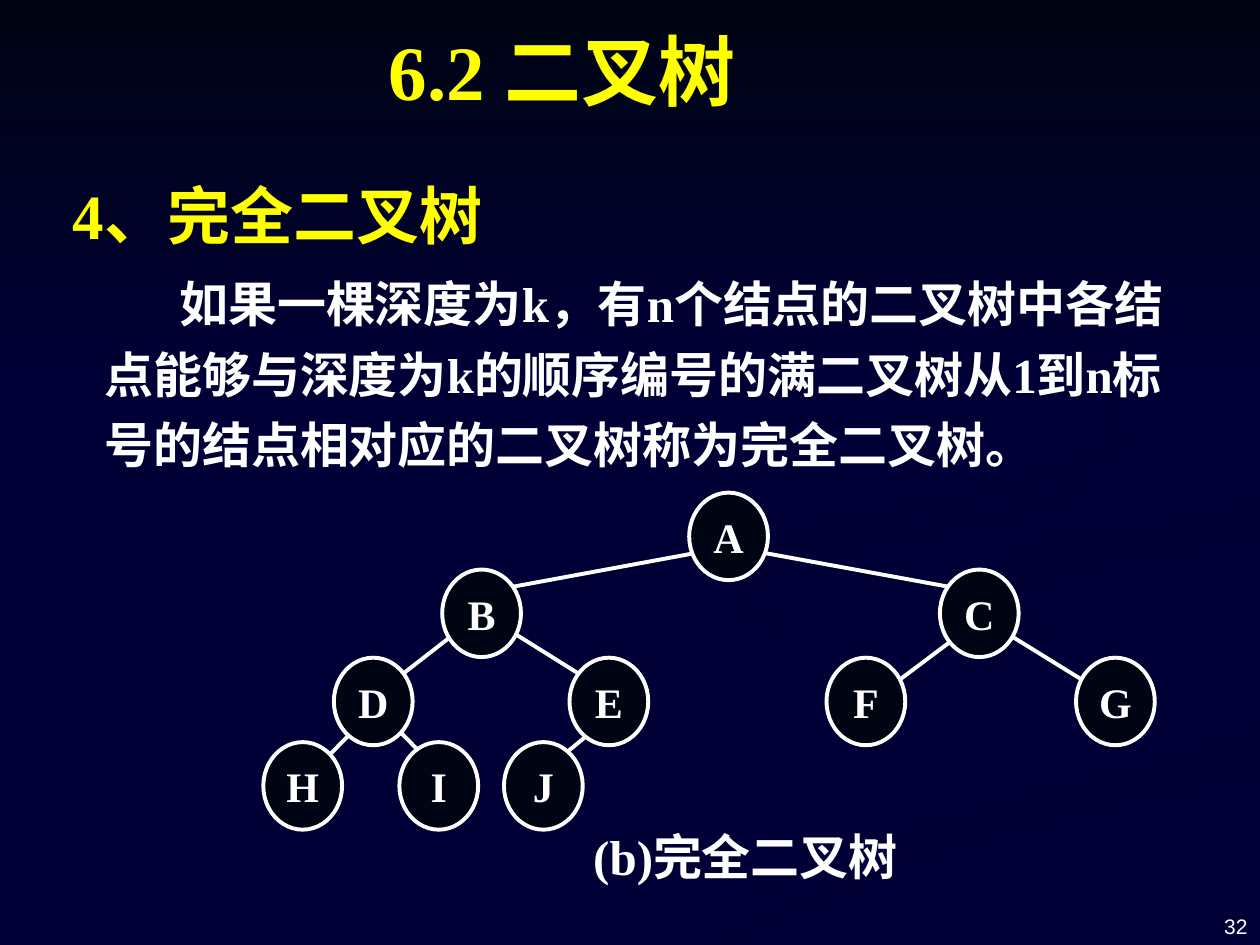
from lxml.etree import SubElement
from pptx import Presentation
from pptx.dml.color import RGBColor
from pptx.enum.shapes import MSO_CONNECTOR, MSO_SHAPE
from pptx.enum.text import MSO_ANCHOR, PP_ALIGN
from pptx.oxml.ns import qn
from pptx.util import Inches, Pt

# Grid of 100 columns by 75 rows
CELL = Inches(0.1)
COLS, ROWS = 100, 75

NAVY = RGBColor(0x00, 0x00, 0x36)
DIM = RGBColor(0x00, 0x00, 0x34)
DEEP = RGBColor(0x00, 0x00, 0x32)
DARK = RGBColor(0x00, 0x05, 0x14)
WHITE = RGBColor(0xFF, 0xFF, 0xFF)
GOLD = RGBColor(0xFF, 0xFF, 0x00)
SERIF, SANS, HAN = "Times New Roman", "Arial", "Noto Sans CJK SC"

NODE_W, NODE_H = 6.25, 6.95
LEVELS = [
    (39.1, {"A": 54.7}),
    (45.2, {"B": 35.1, "C": 74.6}),
    (52.2, {"D": 26.5, "E": 45.2, "F": 65.6, "G": 85.4}),
    (58.9, {"H": 20.9, "I": 31.7, "J": 40}),
]
EDGES = [
    (55.7, 43.8, 40, 46.7), (60.2, 43.8, 76, 46.7),
    (36.2, 50.2, 31.7, 53.7), (40.7, 50.2, 46.3, 53.7),
    (76.4, 50.2, 70.8, 54.4), (79.8, 50.2, 86.6, 54.4),
    (28.7, 57.3, 25.3, 60.8), (31, 57.3, 34.4, 60.8),
    (47.9, 57.3, 44.5, 60.1),
]
# Ribbons: outline points, first and last colour, angle
WAVES = [
    ([(78.1, 55.3), (73.1, 53.3), (66.1, 51.3), (60.2, 49), (57.5, 46.6),
      (57.5, 45.9), (57, 47.2), (59.3, 49.1), (65.4, 51.3), (74.1, 53.9),
      (78.1, 55.6), (78.5, 57), (76.7, 58.7), (71.4, 60.5), (61.6, 62.9),
      (49.9, 66.1), (37.6, 70.7), (30, 74.9), (36.1, 74.9), (46.6, 70),
      (59.4, 65.6), (69.9, 62.8), (76.9, 60.9), (79.7, 58.8), (80, 58.1),
      (79.2, 56.1)], NAVY, DIM, 0),
    ([(94.3, 57), (91.9, 54.7), (87, 53), (79.2, 50.9), (73.3, 48.3),
      (72.4, 46.4), (73.3, 48.8), (76.6, 51.2), (83.8, 53.6), (90, 55.7),
      (91.8, 58.1), (89.4, 60.5), (93.2, 58.9)], NAVY, DIM, 315),
    ([(50.3, 74.9), (57.1, 74.9), (63, 71.9), (72.2, 68.2), (82.1, 65.1),
      (99.8, 60.9), (99.8, 58.1), (92, 60.6), (79.7, 63.8), (69.6, 66.9),
      (59.9, 70.6)], DEEP, NAVY, 270),
    ([(72.5, 46.4), (74.5, 49), (81.2, 51.5), (90.5, 54), (94.3, 57),
      (92.6, 59.3), (88.1, 60.8), (78, 63.4), (66.3, 66.8), (57.3, 70.3),
      (47.7, 74.9), (51.9, 74.7), (59.9, 70.6), (69.6, 66.9), (79.7, 63.8),
      (92, 60.6), (99.9, 58.1), (99.9, 53.8), (90.4, 51.9), (83.2, 49.8),
      (78.6, 47.3), (78.2, 46), (81.1, 43.7), (86.5, 42.4), (96.8, 40.9),
      (99.9, 40.2), (99.9, 38.7), (94.2, 39.9), (83, 41.5), (75.5, 43.2)],
     NAVY, NAVY, 0),
    ([(78.1, 46), (79.1, 47.8), (82.6, 49.6), (80.6, 48), (80.9, 46.6),
      (84.3, 44.8), (89.6, 43.5), (99.8, 42), (99.8, 40.2), (93.3, 41.5),
      (86.5, 42.4), (81, 43.7)], RGBColor(0x00, 0x00, 0x33), NAVY, 315),
    ([(68.3, 43), (78.6, 41.2), (85.5, 39.1), (88.9, 36.2), (89.4, 34.4),
      (89, 32.4), (85.4, 28.3), (76.2, 23.3), (84.6, 27.9), (88.5, 32),
      (88.6, 34.8), (85.2, 37.4), (79.1, 39.2), (64.9, 42), (58.9, 44.1),
      (57.7, 46.2), (59, 48.4), (62.2, 50), (59.4, 47.5), (60.1, 45.6)],
     DEEP, NAVY, 315),
    ([(0, 0), (0, 30.8), (COLS, 30.8), (COLS, 0)], DARK, NAVY, 270),
]


def cells(*nums):
    return [round(n * CELL) for n in nums]


def blend(fill, start, end, angle):
    fill.gradient()
    fill.gradient_angle = angle
    for stop, color in zip(fill.gradient_stops, (start, end)):
        stop.color.rgb = color


def wave(slide, points, start, end, angle):
    pen = slide.shapes.build_freeform(*points[0], scale=CELL)
    pen.add_line_segments(points[1:], close=True)
    shape = pen.convert_to_shape()
    shape.shadow.inherit = False
    shape.line.fill.background()
    blend(shape.fill, start, end, angle)


def write(para, text, size=28, color=WHITE, font=SERIF, bold=True,
          align=PP_ALIGN.LEFT):
    para.alignment = align
    run = para.add_run()
    run.text = text
    run.font.size = Pt(size)
    run.font.bold = bold
    run.font.name = font
    run.font.color.rgb = color
    SubElement(run.font._element, qn("a:ea"), typeface=HAN)


def box(slide, *place, anchor=MSO_ANCHOR.TOP):
    frame = slide.shapes.add_textbox(*cells(*place)).text_frame
    frame.word_wrap = True
    frame.vertical_anchor = anchor
    return frame


def indent(para, first):
    """Set line spacing, left margin and first-line offset in cells."""
    para.line_spacing = 1.2
    props = para._p.get_or_add_pPr()
    props.set("marL", str(round(3.8 * CELL)))
    props.set("indent", str(round(first * CELL)))


def edge(slide, *ends):
    line = slide.shapes.add_connector(MSO_CONNECTOR.STRAIGHT, *cells(*ends))
    line.line.color.rgb = WHITE
    line.line.width = Pt(2.25)
    SubElement(line._element.spPr, qn("a:effectLst"))


def node(slide, name, left, top):
    shape = slide.shapes.add_shape(
        MSO_SHAPE.OVAL, *cells(left, top, NODE_W, NODE_H))
    shape.shadow.inherit = False
    shape.fill.solid()
    shape.fill.fore_color.rgb = DARK
    shape.line.color.rgb = WHITE
    shape.line.width = Pt(2.25)
    frame = shape.text_frame
    frame.word_wrap = False
    frame.vertical_anchor = MSO_ANCHOR.MIDDLE
    frame.margin_left = frame.margin_right = 0
    frame.margin_top = frame.margin_bottom = 0
    write(frame.paragraphs[0], name, size=24, align=PP_ALIGN.CENTER)


def scene(slide):
    back = slide.background.fill
    back.solid()
    back.fore_color.rgb = NAVY
    for item in WAVES:
        wave(slide, *item)


def prose(slide):
    title = box(slide, 23.35, 3.4, 42.5, 6.3, anchor=MSO_ANCHOR.BOTTOM)
    write(title.paragraphs[0], "6.2 二叉树", size=44, color=GOLD,
          align=PP_ALIGN.CENTER)

    body = box(slide, 3.5, 12.3, 93.3, 26.8)
    head = body.paragraphs[0]
    indent(head, -2.5)
    write(head, "4、完全二叉树", size=36, color=GOLD)
    para = body.add_paragraph()
    para.space_before = Pt(5.6)
    indent(para, 5.95)
    write(para, "如果一棵深度为k，有n个结点的二叉树中各结点能够与深度为k的"
                "顺序编号的满二叉树从1到n标号的结点相对应的二叉树称为完全二叉树。")

    note = box(slide, 46.1, 65.1, 31.5, 5.7)
    write(note.paragraphs[0], "(b)完全二叉树")
    page = box(slide, 76.7, 69.8, 23.3, 5.2, anchor=MSO_ANCHOR.BOTTOM)
    write(page.paragraphs[0], "32", size=12, font=SANS, bold=False,
          align=PP_ALIGN.RIGHT)


def tree(slide):
    for ends in EDGES:
        edge(slide, *ends)
    for top, row in LEVELS:
        for name, left in row.items():
            node(slide, name, left, top)


def main():
    deck = Presentation()
    deck.slide_width, deck.slide_height = cells(COLS, ROWS)
    slide = deck.slides.add_slide(deck.slide_layouts[6])
    scene(slide)
    prose(slide)
    tree(slide)
    deck.save("out.pptx")


if __name__ == "__main__":
    main()
